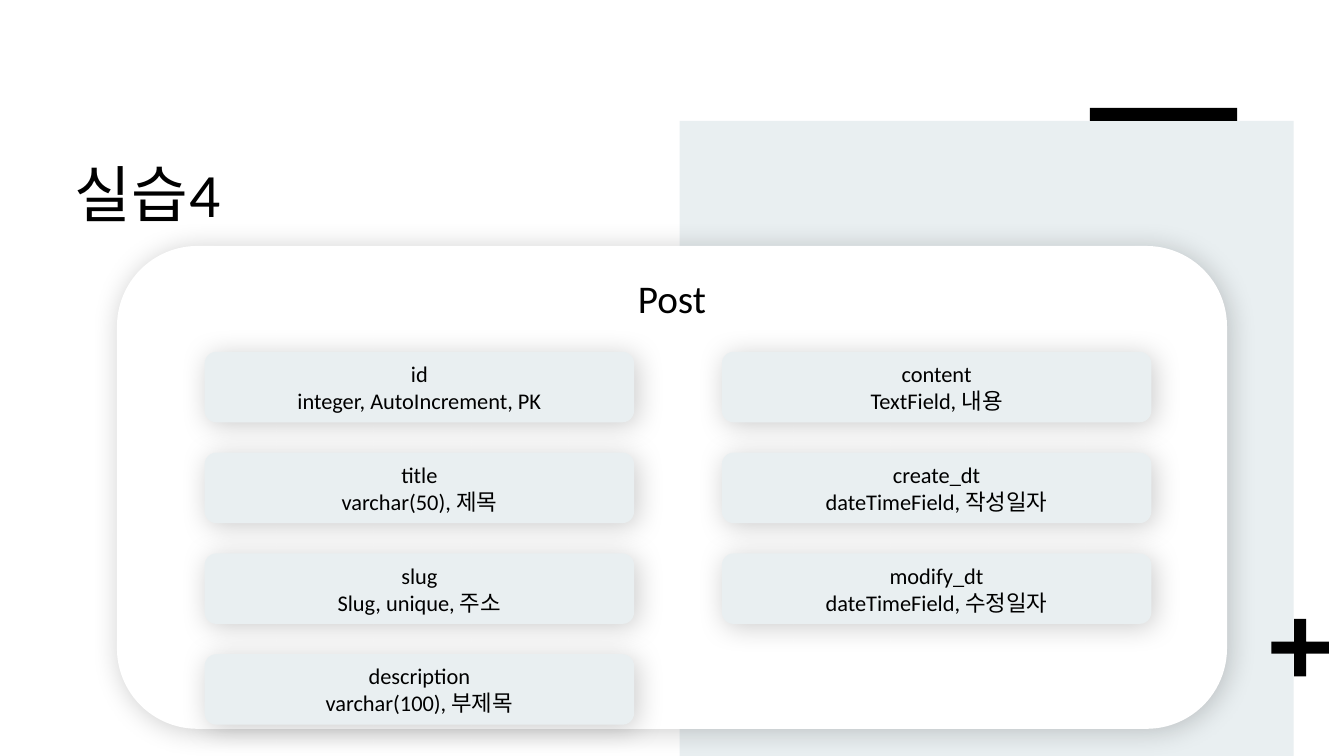
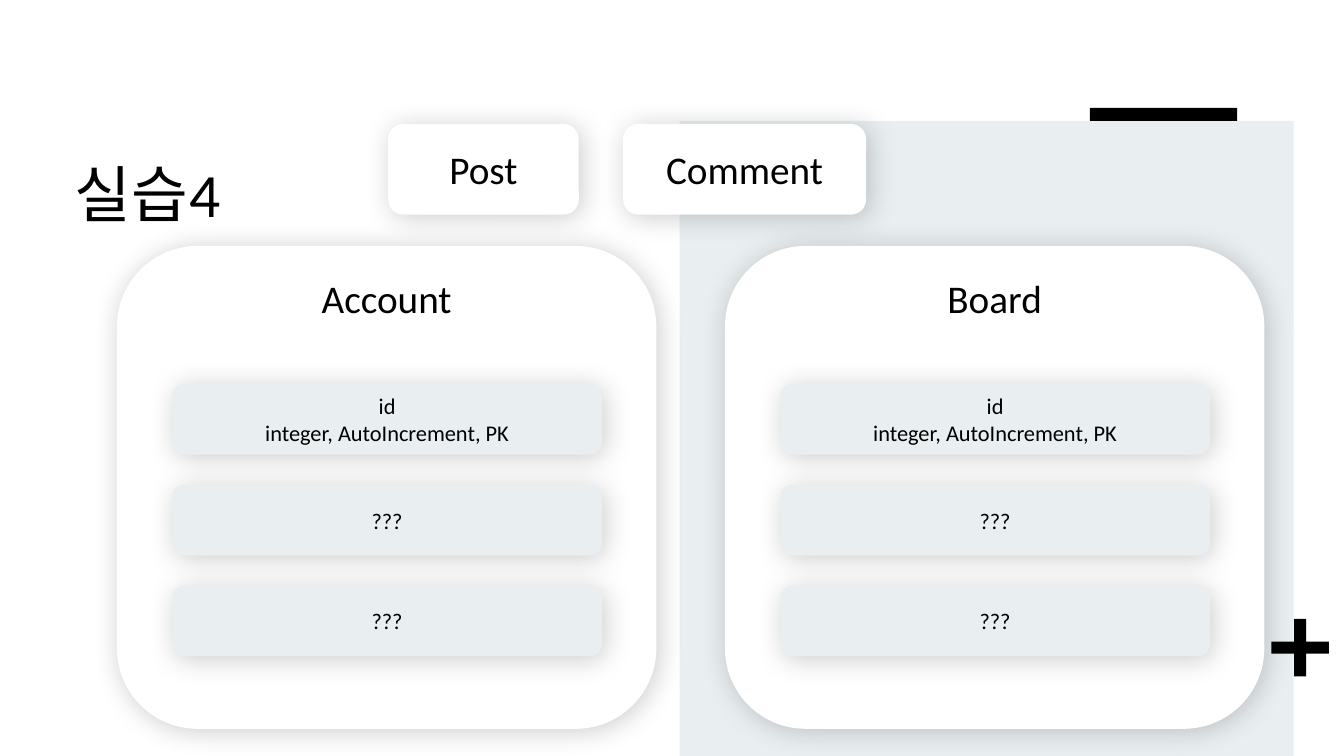
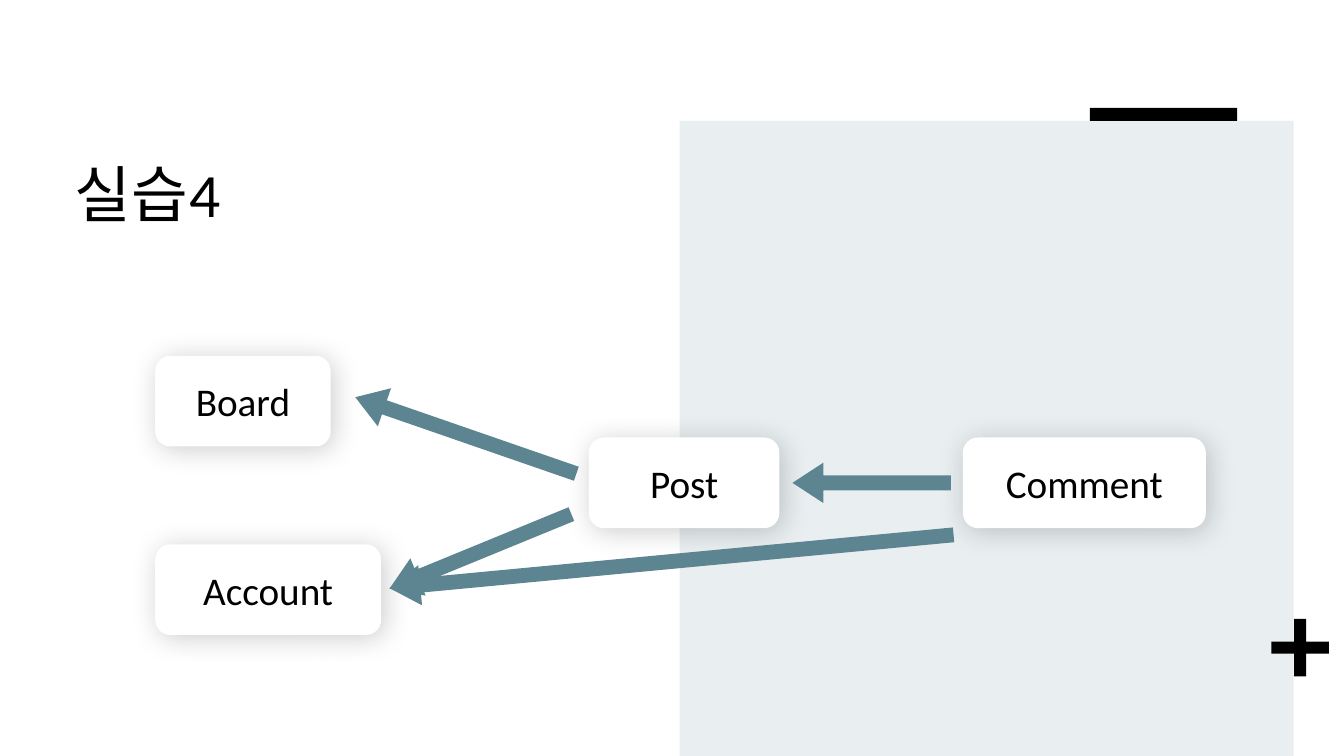
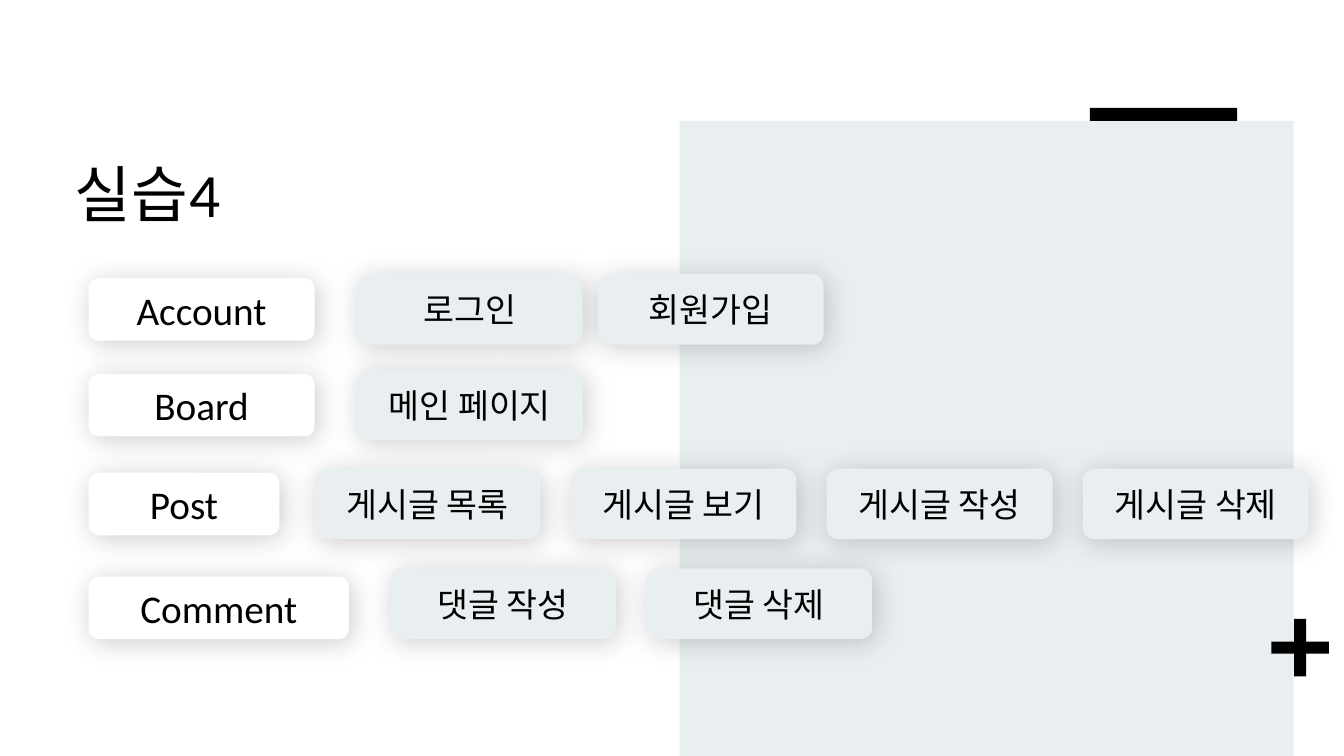
"""Build four slides on the data model and pages of a board application."""
from dataclasses import dataclass

from lxml.etree import SubElement
from pptx import Presentation
from pptx.dml.color import RGBColor
from pptx.enum.shapes import MSO_SHAPE
from pptx.enum.text import MSO_ANCHOR, PP_ALIGN
from pptx.oxml.ns import qn
from pptx.presentation import Presentation as Deck
from pptx.shapes.autoshape import Shape
from pptx.slide import Slide
from pptx.util import Inches, Pt


@dataclass(frozen=True)
class Theme:
    """Colours, font and type sizes of the deck."""
    white: str = "FFFFFF"
    black: str = "000000"
    mist: str = "E9EFF1"
    teal: str = "5C8491"
    font: str = "Calibri"
    title: int = 44
    label: int = 28
    tag: int = 24
    field: int = 16


@dataclass(frozen=True)
class Box:
    """A place on the slide, in inches."""
    x: float
    y: float
    w: float
    h: float


@dataclass(frozen=True)
class Entity:
    """A named model at a place."""
    name: str
    box: Box


@dataclass(frozen=True)
class Arrow:
    """An arrow at a place, turned clockwise in degrees."""
    box: Box
    rotation: float


@dataclass(frozen=True)
class PageRow:
    """A model and the pages that belong to it."""
    name: str
    label: Box
    tag_x: float
    tag_y: float
    pitch: float
    pages: tuple[str, ...]


THEME = Theme()
FIELD_W, FIELD_H, FIELD_PITCH = 4.26, 0.7, 1.0
TAG_W, TAG_H = 2.24, 0.7
ID_FIELD = "id\ninteger, AutoIncrement, PK"

POST_PANEL = Entity("Post", Box(1.16, 2.44, 11.01, 4.79))
POST_COLUMNS = {
    7.16: ("content\nTextField, 내용", "create_dt\ndateTimeField, 작성일자",
           "modify_dt\ndateTimeField, 수정일자"),
    2.03: (ID_FIELD, "title\nvarchar(50), 제목", "slug\nSlug, unique, 주소",
           "description\nvarchar(100), 부제목"),
}
OPEN_PANELS = (
    Entity("Account", Box(1.16, 2.44, 5.35, 4.79)),
    Entity("Board", Box(7.19, 2.44, 5.35, 4.79)),
)
DONE_MODELS = (
    Entity("Post", Box(3.85, 1.23, 1.89, 0.9)),
    Entity("Comment", Box(6.18, 1.23, 2.41, 0.9)),
)
RELATED_MODELS = (
    Entity("Account", Box(1.54, 5.4, 2.24, 0.9)),
    Entity("Post", Box(5.84, 4.34, 1.89, 0.9)),
    Entity("Comment", Box(9.55, 4.34, 2.41, 0.9)),
    Entity("Board", Box(1.54, 3.53, 1.74, 0.9)),
)
RELATIONS = (
    Arrow(Box(3.46, 4.12, 2.32, 0.4), 199.1),
    Arrow(Box(3.79, 5.27, 1.95, 0.4), 157.7),
    Arrow(Box(7.86, 4.59, 1.57, 0.4), 180),
    Arrow(Box(3.85, 5.37, 5.62, 0.4), 174.6),
)
PAGE_ROWS = (
    PageRow("Account", Box(0.88, 2.76, 2.24, 0.62), 3.54, 2.72, 2.39, ("로그인", "회원가입")),
    PageRow("Board", Box(0.88, 3.71, 2.24, 0.62), 3.54, 3.67, 2.39, ("메인 페이지",)),
    PageRow("Post", Box(0.88, 4.69, 1.89, 0.62), 3.12, 4.65, 2.54,
            ("게시글 목록", "게시글 보기", "게시글 작성", "게시글 삭제")),
    PageRow("Comment", Box(0.88, 5.72, 2.58, 0.62), 3.87, 5.64, 2.54,
            ("댓글 작성", "댓글 삭제")),
)


def write(sp: Shape, text: str, *, size: int, align: PP_ALIGN = PP_ALIGN.CENTER,
          anchor: MSO_ANCHOR = MSO_ANCHOR.MIDDLE, line_spacing: float | None = None,
          tracking: float = 0) -> None:
    """Fill a shape with text, one paragraph a line."""
    tf = sp.text_frame
    tf.word_wrap = True
    tf.vertical_anchor = anchor
    for i, line in enumerate(text.split("\n")):
        p = tf.add_paragraph() if i else tf.paragraphs[0]
        p.alignment = align
        p.line_spacing = line_spacing
        r = p.add_run()
        r.text = line
        r.font.size = Pt(size)
        r.font.name = THEME.font
        r.font.color.rgb = RGBColor.from_string(THEME.black)
        if tracking:
            r.font._element.set("spc", str(round(tracking * 100)))


def add_solid(s: Slide, kind: MSO_SHAPE, box: Box, fill: str,
              adjustments: tuple[float, ...] = ()) -> Shape:
    """Draw a filled shape without outline or shadow."""
    sp = s.shapes.add_shape(kind, Inches(box.x), Inches(box.y), Inches(box.w), Inches(box.h))
    sp.shadow.inherit = False
    sp.fill.solid()
    sp.fill.fore_color.rgb = RGBColor.from_string(fill)
    sp.line.fill.background()
    for i, value in enumerate(adjustments):
        sp.adjustments[i] = value
    return sp


def add_card(s: Slide, box: Box, text: str, *, fill: str = THEME.white,
             size: int = THEME.label, anchor: MSO_ANCHOR = MSO_ANCHOR.MIDDLE) -> None:
    """Draw a rounded card with a soft shadow and centred text."""
    sp = add_solid(s, MSO_SHAPE.ROUNDED_RECTANGLE, box, fill)
    effects = sp._element.spPr.find(qn("a:effectLst"))
    shadow = SubElement(effects, qn("a:outerShdw"), blurRad=str(Pt(20)), dist=str(Pt(3)),
                        dir=str(45 * 60000), algn="tl", rotWithShape="0")
    color = SubElement(shadow, qn("a:srgbClr"), val=THEME.black)
    SubElement(color, qn("a:alpha"), val="20000")
    write(sp, text, size=size, anchor=anchor)


def add_fields(s: Slide, x: float, y: float, fields: tuple[str, ...]) -> None:
    """Stack field cards downwards."""
    for i, field in enumerate(fields):
        add_card(s, Box(x, y + i * FIELD_PITCH, FIELD_W, FIELD_H), field,
                 fill=THEME.mist, size=THEME.field)


def add_panel(s: Slide, panel: Entity) -> None:
    """Draw a large card with its name at the top."""
    add_card(s, panel.box, panel.name, anchor=MSO_ANCHOR.TOP)


def add_models(s: Slide, models: tuple[Entity, ...]) -> None:
    """Draw a small card for each model."""
    for model in models:
        add_card(s, model.box, model.name)


def new_slide(prs: Deck) -> Slide:
    """Add a slide with the shared decoration and title."""
    s = prs.slides.add_slide(prs.slide_layouts[6])
    add_solid(s, MSO_SHAPE.RECTANGLE, Box(6.74, 1.2, 6.09, 6.3), THEME.mist)
    add_solid(s, MSO_SHAPE.CROSS, Box(12.61, 6.14, 0.57, 0.57), THEME.black, (0.395,))
    add_solid(s, MSO_SHAPE.RECTANGLE, Box(10.81, 1.07, 1.46, 0.13), THEME.black)
    title = s.shapes.add_textbox(Inches(0.62), Inches(1.32), Inches(9.04), Inches(1.58))
    tf = title.text_frame
    tf.margin_left = tf.margin_top = tf.margin_right = Inches(0.12)
    tf.margin_bottom = Inches(0.1)
    write(title, "실습4", size=THEME.title, align=PP_ALIGN.LEFT, anchor=MSO_ANCHOR.TOP,
          line_spacing=1.14, tracking=0.5)
    return s


def build_post(prs: Deck) -> None:
    """Show the fields of the Post model."""
    s = new_slide(prs)
    add_panel(s, POST_PANEL)
    for x, fields in POST_COLUMNS.items():
        add_fields(s, x, 3.49, fields)


def build_open_models(prs: Deck) -> None:
    """Show the models whose fields are still open."""
    s = new_slide(prs)
    for panel in OPEN_PANELS:
        add_panel(s, panel)
        add_fields(s, panel.box.x + 0.55, 3.81, (ID_FIELD, "???", "???"))
    add_models(s, DONE_MODELS)


def build_relations(prs: Deck) -> None:
    """Show how the models refer to each other."""
    s = new_slide(prs)
    add_models(s, RELATED_MODELS)
    for arrow in RELATIONS:
        sp = add_solid(s, MSO_SHAPE.RIGHT_ARROW, arrow.box, THEME.teal, (0.368, 0.764))
        sp.rotation = arrow.rotation


def build_pages(prs: Deck) -> None:
    """Show the pages of each model."""
    s = new_slide(prs)
    for row in PAGE_ROWS:
        add_card(s, row.label, row.name)
        for i, page in enumerate(row.pages):
            add_card(s, Box(row.tag_x + i * row.pitch, row.tag_y, TAG_W, TAG_H), page,
                     fill=THEME.mist, size=THEME.tag)


def main() -> None:
    """Build and save the deck."""
    prs = Presentation()
    prs.slide_width, prs.slide_height = Inches(13.33), Inches(7.5)
    for build in (build_post, build_open_models, build_relations, build_pages):
        build(prs)
    prs.save("out.pptx")


if __name__ == "__main__":
    main()
